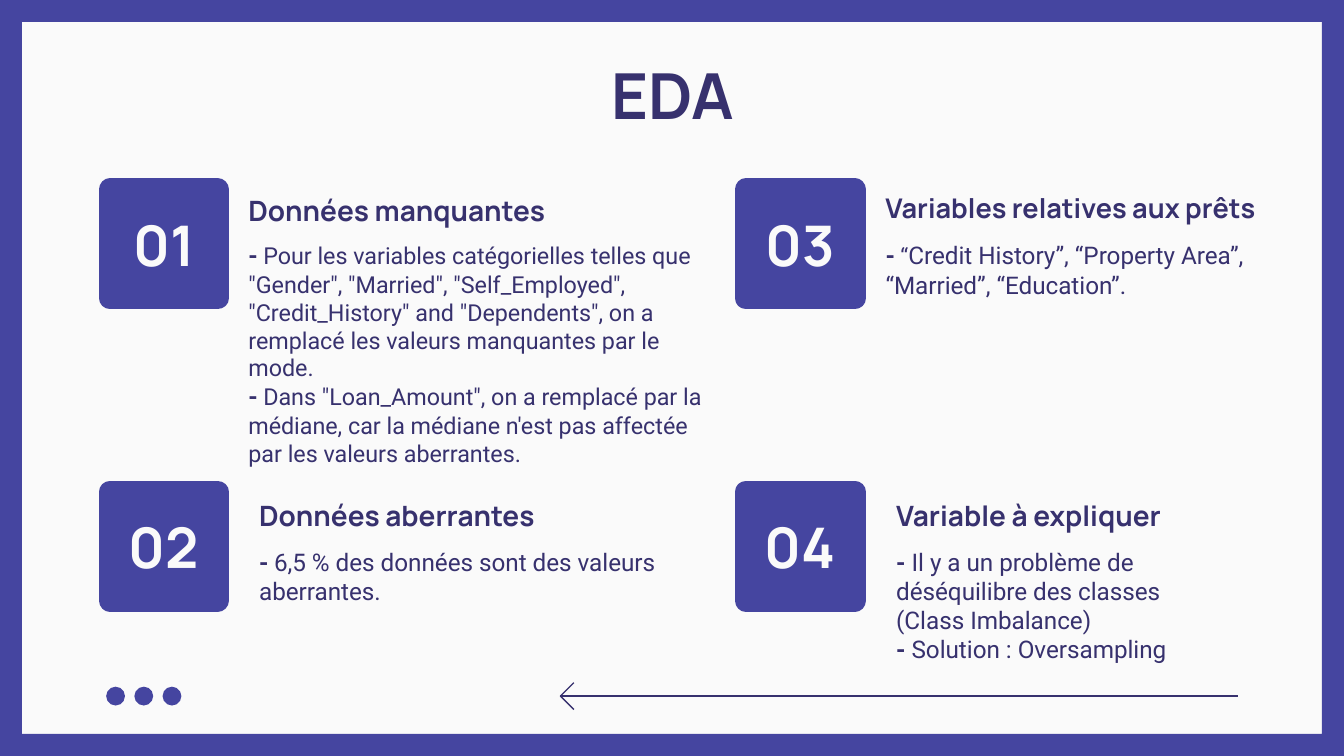
from lxml import etree
from pptx import Presentation
from pptx.dml.color import RGBColor
from pptx.enum.shapes import MSO_CONNECTOR, MSO_SHAPE
from pptx.enum.text import MSO_ANCHOR, MSO_AUTO_SIZE, PP_ALIGN
from pptx.oxml.ns import qn
from pptx.util import Inches, Pt

BLUE = RGBColor(0x45, 0x45, 0xA0)
INK = RGBColor(0x37, 0x31, 0x6E)
PALE = RGBColor(0xFA, 0xFA, 0xFA)
HEAD, BODY = "Manrope", "Roboto"
LEFT, CENTER = PP_ALIGN.LEFT, PP_ALIGN.CENTER
TOP, MIDDLE, BOTTOM = MSO_ANCHOR.TOP, MSO_ANCHOR.MIDDLE, MSO_ANCHOR.BOTTOM
FRAME, OVAL, RECT = MSO_SHAPE.FRAME, MSO_SHAPE.OVAL, MSO_SHAPE.RECTANGLE
STRAIGHT = MSO_CONNECTOR.STRAIGHT
NO_FIT = MSO_AUTO_SIZE.NONE

WIDE = 10
HIGH = WIDE * 9 / 16
DASH, GAP = ("-", 13, True), (" ", 12, False)
TOPICS = [
    ("01", 0.82, 1.41, 0.8, "Données manquantes", (1.75, 1.39, 2.97, 0.4), 15,
     (1.75, 1.69, 3.6, 1.8),
     [[DASH, GAP, ("Pour les variables catégorielles telles que \"Gender\", \"Married\", "
                   "\"Self_Employed\", \"Credit_History\" and \"Dependents\", on a remplacé "
                   "les valeurs manquantes par le mode.", 12.5, False)],
      [DASH, GAP, ("Dans \"Loan_Amount\", on a remplacé par la médiane, car la médiane "
                   "n'est pas affectée par les valeurs aberrantes.", 12.5, False)]]),
    ("02", 0.82, 3.66, 0.8, "Données aberrantes", (1.83, 3.66, 2.97, 0.4), 15,
     (1.83, 3.97, 3.23, 0.58),
     [[DASH, GAP, ("6,5 % des données sont des valeurs aberrantes.", 13, False)]]),
    ("03", 5.55, 1.41, 0.81, "Variables relatives aux prêts", (6.49, 1.41, 3.23, 0.36), 14.5,
     (6.49, 1.69, 2.91, 0.58),
     [[DASH, (" “", 12, False),
       ("Credit History”, “Property Area”, “Married”, “Education”.", 13, False)]]),
    ("04", 5.55, 3.66, 0.81, "Variable à expliquer", (6.57, 3.66, 2.97, 0.4), 15,
     (6.57, 3.97, 2.83, 1.11),
     [[("- ", 13, True), ("Il y a un problème de déséquilibre des classes", 13, False)],
      [("(Class Imbalance)", 13, False)],
      [("- ", 13, True), ("Solution : Oversampling", 13, False)]]),
]


def write(frame, paras, font=HEAD, color=INK, align=LEFT, anchor=TOP):
    """Fill a text frame with paragraphs of (text, size, bold) runs."""
    frame.word_wrap = True
    frame.auto_size = NO_FIT
    frame.vertical_anchor = anchor
    frame.margin_left = frame.margin_right = Inches(0.1)
    frame.margin_top = frame.margin_bottom = Inches(0.1)
    for i, runs in enumerate(paras):
        para = frame.paragraphs[0] if i == 0 else frame.add_paragraph()
        para.alignment = align
        for text, size, bold in runs:
            run = para.add_run()
            run.text = text
            run.font.name, run.font.size, run.font.bold = font, Pt(size), bold
            run.font.color.rgb = color


class Page:
    """Holds the style and the current slide."""

    def __init__(self, deck):
        self.slide = deck.slides.add_slide(deck.slide_layouts[5])
        self.shapes = self.slide.shapes
        fill = self.slide.background.fill
        fill.solid()
        fill.fore_color.rgb = PALE

    def title(self, text, x, y, w, h):
        item = self.shapes.title
        item.left, item.top, item.width, item.height = map(Inches, (x, y, w, h))
        write(item.text_frame, [[(text, 34, True)]], align=CENTER)

    def text(self, box, paras, **style):
        item = self.shapes.add_textbox(*map(Inches, box))
        write(item.text_frame, paras, **style)

    def shape(self, kind, x, y, w, h):
        item = self.shapes.add_shape(kind, *map(Inches, (x, y, w, h)))
        item.shadow.inherit = False
        item.fill.solid()
        item.fill.fore_color.rgb = BLUE
        item.line.fill.background()
        return item

    def badge(self, text, x, y, w, h):
        item = self.shape(RECT, x, y, w, h)
        item.line.color.rgb = BLUE
        item.line.width = Pt(12)
        etree.SubElement(item.line._get_or_add_ln(), qn("a:round"))
        write(item.text_frame, [[(text, 30, True)]], color=PALE, align=CENTER, anchor=MIDDLE)

    def arrow(self, tip, tail, y, w, h):
        line = self.shapes.add_connector(
            STRAIGHT, Inches(tip), Inches(y), Inches(tail), Inches(y))
        etree.SubElement(line._element.spPr, qn("a:effectLst"))
        pen = self.shapes.build_freeform(Inches(tip + w), Inches(y + h))
        pen.add_line_segments(
            [(Inches(tip), Inches(y)), (Inches(tip + w), Inches(y - h))], close=False)
        head = pen.convert_to_shape()
        head.shadow.inherit = False
        head.fill.background()
        for item in (line, head):
            item.line.color.rgb = INK
            item.line.width = Pt(0.75)


def main():
    deck = Presentation()
    deck.slide_width, deck.slide_height = Inches(WIDE), Inches(HIGH)
    page = Page(deck)
    page.shape(FRAME, 0, 0, WIDE, HIGH).adjustments[0] = 0.029
    page.arrow(4.17, 9.21, 5.18, 0.1, 0.1)
    for i in range(3):
        page.shape(OVAL, 0.79 + 0.21 * i, 5.11, 0.14, 0.14)
    page.title("EDA", 0.79, 0.32, 8.43, 0.63)
    for num, x, y, w, name, top, size, box, paras in TOPICS:
        page.badge(num, x, y, w, 0.81)
        page.text(top, [[(name, size, True)]], anchor=BOTTOM)
        page.text(box, paras, font=BODY)
    deck.save("out.pptx")


if __name__ == "__main__":
    main()
